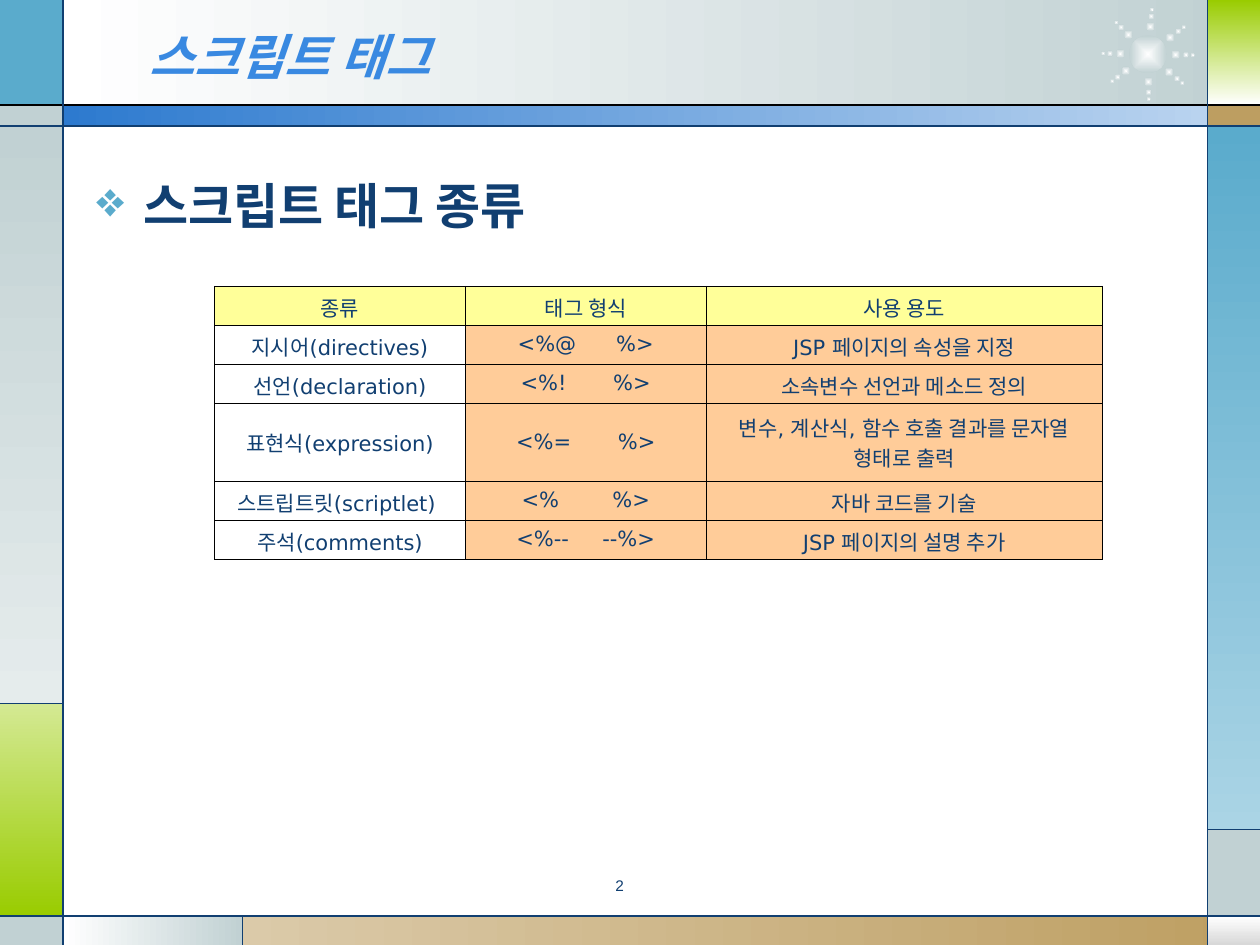
from math import cos, radians, sin

from lxml.etree import SubElement
from pptx import Presentation
from pptx.dml.color import RGBColor
from pptx.enum.shapes import MSO_CONNECTOR as CONNECTOR, MSO_SHAPE as SHAPE
from pptx.enum.text import MSO_ANCHOR as ANCHOR, MSO_AUTO_SIZE as AUTO_SIZE, PP_ALIGN as ALIGN
from pptx.oxml.ns import qn
from pptx.util import Pt

BLACK = RGBColor(0x00, 0x00, 0x00)
WHITE = RGBColor(0xFF, 0xFF, 0xFF)
NAVY = RGBColor(0x11, 0x3F, 0x71)
TITLE_BLUE = RGBColor(0x39, 0x89, 0xE1)
BAND_BLUE = RGBColor(0x2D, 0x7A, 0xCF)
BAND_PALE = RGBColor(0xB9, 0xD3, 0xEF)
SKY = RGBColor(0x5A, 0xAB, 0xCC)
SKY_PALE = RGBColor(0xAA, 0xD4, 0xE5)
GREY = RGBColor(0xC1, 0xD1, 0xD3)
GREY_PALE = RGBColor(0xE5, 0xEC, 0xEC)
SILVER = RGBColor(0xD8, 0xD8, 0xD8)
GREEN = RGBColor(0x99, 0xCC, 0x00)
GREEN_PALE = RGBColor(0xD4, 0xE9, 0x93)
TAN = RGBColor(0xBD, 0x9E, 0x61)
TAN_PALE = RGBColor(0xDB, 0xCA, 0xA9)
YELLOW = RGBColor(0xFF, 0xFF, 0x99)
PEACH = RGBColor(0xFF, 0xCC, 0x99)

KOREAN = "Noto Sans CJK KR"
ACROSS, DOWN = 0, 270
SLIDE_W, SLIDE_H = 720, 540
# Frame grid: left and right columns, header band and footer strip
LEFT, RIGHT = 36, 690
BAND_TOP, BAND_BOTTOM, FOOT = 60, 72, 523.5
GREEN_TOP, SILVER_TOP, FOOT_SPLIT = 402, 474, 138.5

# left, top, right, bottom, colours, gradient direction
PANELS = [
    (LEFT, 0, 703.5, BAND_TOP, (WHITE, GREY), ACROSS),
    (0, 0, LEFT, BAND_TOP, (SKY,), None),
    (0, BAND_TOP, LEFT, BAND_BOTTOM, (GREY,), None),
    (0, BAND_BOTTOM, LEFT, GREEN_TOP, (GREY, GREY_PALE), DOWN),
    (0, GREEN_TOP, LEFT, FOOT, (GREEN_PALE, GREEN), DOWN),
    (0, FOOT, LEFT, SLIDE_H, (GREY,), None),
    (LEFT, FOOT, FOOT_SPLIT, SLIDE_H, (WHITE, GREY), ACROSS),
    (FOOT_SPLIT, FOOT, SLIDE_W, SLIDE_H, (TAN_PALE, TAN), ACROSS),
    (RIGHT, FOOT, SLIDE_W, SLIDE_H, (WHITE, SILVER), DOWN),
    (RIGHT, SILVER_TOP, SLIDE_W, FOOT, (GREY,), None),
    (RIGHT, BAND_BOTTOM, SLIDE_W, SILVER_TOP, (SKY, SKY_PALE), DOWN),
    (RIGHT, BAND_TOP, SLIDE_W, BAND_BOTTOM, (TAN,), None),
    (RIGHT, 0, SLIDE_W, BAND_TOP, (GREEN, WHITE), DOWN),
    (LEFT, BAND_TOP, RIGHT, BAND_BOTTOM, (BAND_BLUE, BAND_PALE), ACROSS),
]
RULES = [
    (0, BAND_TOP, SLIDE_W, BAND_TOP, BLACK),
    (0, BAND_BOTTOM, SLIDE_W, BAND_BOTTOM, NAVY),
    (0, FOOT, SLIDE_W, FOOT, NAVY),
    (LEFT, 0, LEFT, SLIDE_H, NAVY),
    (RIGHT, 0, RIGHT, SLIDE_H, NAVY),
    (LEFT, GREEN_TOP, 0, GREEN_TOP, NAVY),
    (FOOT_SPLIT, FOOT, FOOT_SPLIT, SLIDE_H, NAVY),
    (RIGHT, SILVER_TOP, SLIDE_W, SILVER_TOP, NAVY),
]
SUN_X, SUN_Y, SUN_SIZE = 656, 31, 21.6
RAY_ANGLES = (1, 40, 89, 143, 181, 225, 275, 323)
RAY_BEADS = ((15.8, 5.2), (21.7, 3.6), (25.6, 2.6))  # distance, size

TABLE_ROWS = [
    ("종류", "태그 형식", "사용 용도"),
    ("지시어(directives)", "<%@      %>", "JSP 페이지의 속성을 지정"),
    ("선언(declaration)", "<%!       %>", "소속변수 선언과 메소드 정의"),
    ("표현식(expression)", "<%=       %>", "변수, 계산식, 함수 호출 결과를 문자열 형태로 출력"),
    ("스트립트릿(scriptlet) ", "<%        %>", "자바 코드를 기술"),
    ("주석(comments)", "<%--     --%>", "JSP 페이지의 설명 추가"),
]
COLUMN_WIDTHS = (143.5, 137.5, 226.5)
ROW_HEIGHTS = (22.3, 22.3, 22.3, 44.6, 22.3, 22.3)


def add_filled(slide, kind, left, top, width, height, colours, angle=None):
    """One colour gives a solid fill; two give a gradient, from the centre if angle is None."""
    sp = slide.shapes.add_shape(kind, Pt(left), Pt(top), Pt(width), Pt(height))
    sp.shadow.inherit = False
    sp.line.fill.background()
    if len(colours) == 1:
        sp.fill.solid()
        sp.fill.fore_color.rgb = colours[0]
        return
    sp.fill.gradient()
    for stop, colour in zip(sp.fill.gradient_stops, colours):
        stop.color.rgb = colour
    if angle is not None:
        sp.fill.gradient_angle = angle
        return
    grad = sp._element.spPr.find(qn("a:gradFill"))
    grad.remove(grad.find(qn("a:lin")))
    centre = SubElement(grad, qn("a:path"), {"path": "rect"})
    SubElement(centre, qn("a:fillToRect"), dict.fromkeys("ltrb", "50000"))


def add_rule(slide, x1, y1, x2, y2, colour):
    line = slide.shapes.add_connector(CONNECTOR.STRAIGHT, Pt(x1), Pt(y1), Pt(x2), Pt(y2))
    line.line.color.rgb = colour
    line.line.width = Pt(0.75)
    SubElement(line._element.spPr, qn("a:effectLst"))


def add_sun(slide):
    def add_bead(x, y, size):
        add_filled(slide, SHAPE.OVAL, x - size / 2, y - size / 2, size, size, (WHITE, GREY))

    add_bead(SUN_X, SUN_Y, SUN_SIZE)
    for angle in map(radians, RAY_ANGLES):
        for distance, size in RAY_BEADS:
            add_bead(SUN_X + distance * cos(angle), SUN_Y + distance * sin(angle), size)


def add_run(p, text, size, font, colour, bold=False, italic=False):
    r = p.add_run()
    r.text = text
    r.font.size = Pt(size)
    r.font.name = font
    r.font.color.rgb = colour
    r.font.bold = bold
    r.font.italic = italic
    SubElement(r._r.get_or_add_rPr(), qn("a:ea"), {"typeface": KOREAN})


def place(sp, left, top, width, height):
    sp.left, sp.top, sp.width, sp.height = Pt(left), Pt(top), Pt(width), Pt(height)


def format_title(slide):
    title = slide.shapes.title
    slide.shapes._spTree.append(title._element)  # bring in front of the frame
    place(title, 78, 9.5, 528, 44.5)
    tf = title.text_frame
    tf.auto_size = AUTO_SIZE.NONE
    tf.vertical_anchor = ANCHOR.MIDDLE
    p = tf.paragraphs[0]
    p.alignment = ALIGN.LEFT
    add_run(p, "스크립트 태그", 28, KOREAN, TITLE_BLUE, bold=True, italic=True)


def add_text_box(slide, left, top, width, height):
    box = slide.shapes.add_textbox(Pt(left), Pt(top), Pt(width), Pt(height))
    box.text_frame.word_wrap = True
    return box.text_frame.paragraphs[0]


def add_heading(slide):
    p = add_text_box(slide, 48, 96.5, 631.5, 387.5)
    pPr = p._p.get_or_add_pPr()
    pPr.set("marL", str(Pt(27)))
    pPr.set("indent", str(-Pt(27)))
    colour = SubElement(pPr, qn("a:buClr"))
    SubElement(colour, qn("a:srgbClr"), {"val": str(SKY)})
    SubElement(pPr, qn("a:buChar"), {"char": "❖"})
    add_run(p, "스크립트 태그 종류", 28, KOREAN, NAVY, bold=True)


def add_slide_number(slide):
    p = add_text_box(slide, 270, 499, 168, 19.5)
    p.alignment = ALIGN.CENTER
    p.line_spacing = 0.8
    add_run(p, "2", 8.8, "Arial", NAVY)


def format_cell(cell, text, fill):
    cell.margin_left = cell.margin_right = Pt(5)
    cell.margin_top = cell.margin_bottom = Pt(3.6)
    cell.vertical_anchor = ANCHOR.MIDDLE
    tcPr = cell._tc.get_or_add_tcPr()
    for side in ("lnL", "lnR", "lnT", "lnB"):
        border = SubElement(tcPr, qn(f"a:{side}"), {"w": str(Pt(0.45))})
        solid = SubElement(border, qn("a:solidFill"))
        SubElement(solid, qn("a:srgbClr"), {"val": str(BLACK)})
    if fill is None:
        cell.fill.background()
    else:
        cell.fill.solid()
        cell.fill.fore_color.rgb = fill
    p = cell.text_frame.paragraphs[0]
    p.alignment = ALIGN.CENTER
    add_run(p, text, 12, "DejaVu Sans", NAVY)


def add_tag_table(slide):
    table = slide.shapes.add_table(
        len(TABLE_ROWS), len(COLUMN_WIDTHS), Pt(122.5), Pt(163.5),
        Pt(sum(COLUMN_WIDTHS)), Pt(sum(ROW_HEIGHTS))).table
    for column, width in zip(table.columns, COLUMN_WIDTHS):
        column.width = Pt(width)
    for i, (texts, height) in enumerate(zip(TABLE_ROWS, ROW_HEIGHTS)):
        table.rows[i].height = Pt(height)
        fills = (YELLOW,) * 3 if i == 0 else (None, PEACH, PEACH)
        for j, (text, fill) in enumerate(zip(texts, fills)):
            format_cell(table.cell(i, j), text, fill)


def main():
    prs = Presentation()
    prs.slide_width, prs.slide_height = Pt(SLIDE_W), Pt(SLIDE_H)
    slide = prs.slides.add_slide(prs.slide_layouts[5])
    for left, top, right, bottom, colours, angle in PANELS:
        add_filled(slide, SHAPE.RECTANGLE, left, top, right - left, bottom - top, colours, angle)
    add_sun(slide)
    for rule in RULES:
        add_rule(slide, *rule)
    format_title(slide)
    add_heading(slide)
    add_tag_table(slide)
    add_slide_number(slide)
    prs.save("out.pptx")


if __name__ == "__main__":
    main()
